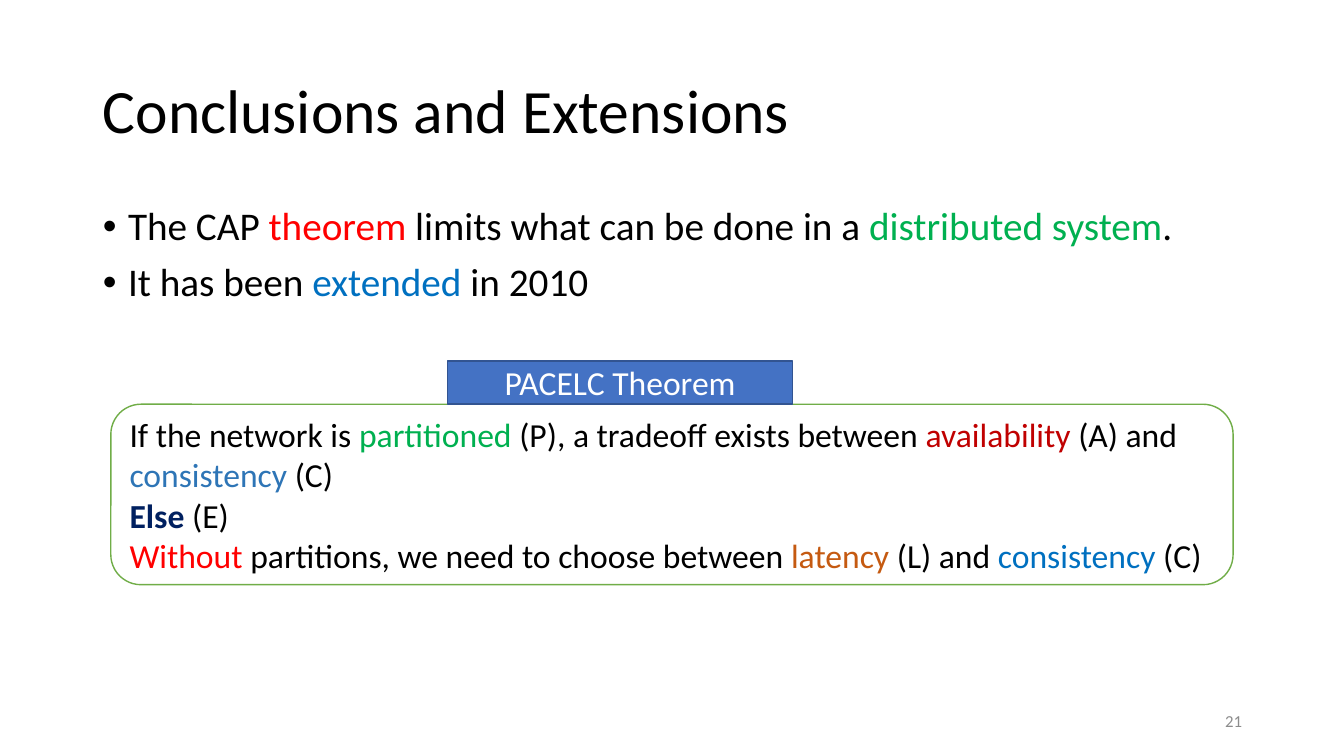
from lxml.etree import SubElement
from pptx import Presentation
from pptx.dml.color import RGBColor
from pptx.enum.shapes import MSO_SHAPE as Preset
from pptx.enum.text import MSO_ANCHOR as Anchor, MSO_AUTO_SIZE as AutoSize, PP_ALIGN as Align
from pptx.oxml.ns import qn
from pptx.util import Inches, Pt

BLACK, WHITE, RED, GREEN, BLUE = "000000", "FFFFFF", "FF0000", "00B050", "0070C0"
DARK_RED, STEEL_BLUE, NAVY, ORANGE = "C00000", "2E75B6", "002060", "C55A11"


def rgb(color):
    return RGBColor.from_string(color)


def apply(target, values):
    for name, value in values.items():
        setattr(target, name, value)


class SlideBuilder:
    """Holds the style and the current slide; boxes are percentages of the slide size."""

    font_name = "Calibri"

    def __init__(self, presentation):
        self.width, self.height = presentation.slide_width, presentation.slide_height
        self.slide = presentation.slides.add_slide(presentation.slide_layouts[1])

    def place(self, box):
        left, top, width, height = box
        return [round(share * side / 100) for share, side in
                ((left, self.width), (top, self.height), (width, self.width), (height, self.height))]

    def fill_text(self, shape, lines, size, anchor=Anchor.MIDDLE, bullets=False, gap=0,
                  **paragraph_format):
        """Each line is a list of runs: (text, color) or (text, color, bold)."""
        frame = shape.text_frame
        apply(frame, dict(word_wrap=True, auto_size=AutoSize.NONE, vertical_anchor=anchor))
        for index, runs in enumerate(lines):
            paragraph = frame.add_paragraph() if index else frame.paragraphs[0]
            if bullets:
                self.add_bullet(paragraph)
            apply(paragraph, dict(alignment=Align.LEFT, space_before=Pt(gap if index else 0)))
            apply(paragraph, paragraph_format)
            for text, color, *bold in runs:
                run = paragraph.add_run()
                run.text = text
                apply(run.font, dict(name=self.font_name, size=Pt(size), bold=bool(bold)))
                run.font.color.rgb = rgb(color)

    def add_bullet(self, paragraph):
        properties = paragraph._p.get_or_add_pPr()
        indent = Inches(0.25)
        properties.set("marL", str(indent))
        properties.set("indent", str(-indent))
        SubElement(properties, qn("a:buFont"), typeface="Arial")
        SubElement(properties, qn("a:buChar"), char="•")

    def placeholder(self, index, box, lines, size, **text_format):
        shape = self.slide.placeholders[index]
        apply(shape, dict(zip(("left", "top", "width", "height"), self.place(box))))
        self.fill_text(shape, lines, size, line_spacing=0.9, **text_format)

    def panel(self, preset, box, fill, line, lines, size, **text_format):
        shape = self.slide.shapes.add_shape(preset, *self.place(box))
        shape.shadow.inherit = False
        shape.fill.solid()
        shape.fill.fore_color.rgb = rgb(fill)
        shape.line.color.rgb = rgb(line)
        shape.line.width = Pt(1)
        self.fill_text(shape, lines, size, **text_format)

    def label(self, box, lines, size, **text_format):
        self.fill_text(self.slide.shapes.add_textbox(*self.place(box)), lines, size, **text_format)


def main():
    presentation = Presentation()
    presentation.slide_width, presentation.slide_height = Inches(13.33), Inches(7.5)
    builder = SlideBuilder(presentation)

    # Title and bullet list
    builder.placeholder(0, (6.9, 5.33, 86.25, 19.33), [[("Conclusions and Extensions", BLACK)]], 44)
    builder.placeholder(1, (6.9, 26.67, 86.25, 15.6), [
        [("The CAP ", BLACK), ("theorem", RED), (" limits what can be done in a ", BLACK),
         ("distributed system", GREEN), (".", BLACK)],
        [("It has been ", BLACK), ("extended", BLUE), (" in 2010", BLACK)],
    ], 28, anchor=Anchor.TOP, bullets=True, gap=10)

    # Theorem statement with its heading
    builder.panel(Preset.ROUNDED_RECTANGLE, (8.25, 53.47, 83.5, 23.87), WHITE, "70AD47", [
        [("If the network is ", BLACK), ("partitioned", GREEN),
         (" (P), a tradeoff exists between ", BLACK), ("availability", DARK_RED),
         (" (A) and ", BLACK), ("consistency", STEEL_BLUE), (" (C)", BLACK)],
        [("Else", NAVY, True), (" (E)", BLACK)],
        [("Without", RED), (" partitions, we need to choose between ", BLACK), ("latency", ORANGE),
         (" (L) and ", BLACK), ("consistency", BLUE), (" (C)", BLACK)],
    ], 24)
    builder.panel(Preset.RECTANGLE, (33.31, 47.73, 25.66, 5.73), "4472C4", "325491",
                  [[("PACELC Theorem", WHITE)]], 24, alignment=Align.CENTER)

    # Slide number
    builder.label((70.67, 92.67, 22.5, 5.33), [[("21", "8C8C8C")]], 12, alignment=Align.RIGHT)

    presentation.save("out.pptx")


if __name__ == "__main__":
    main()
